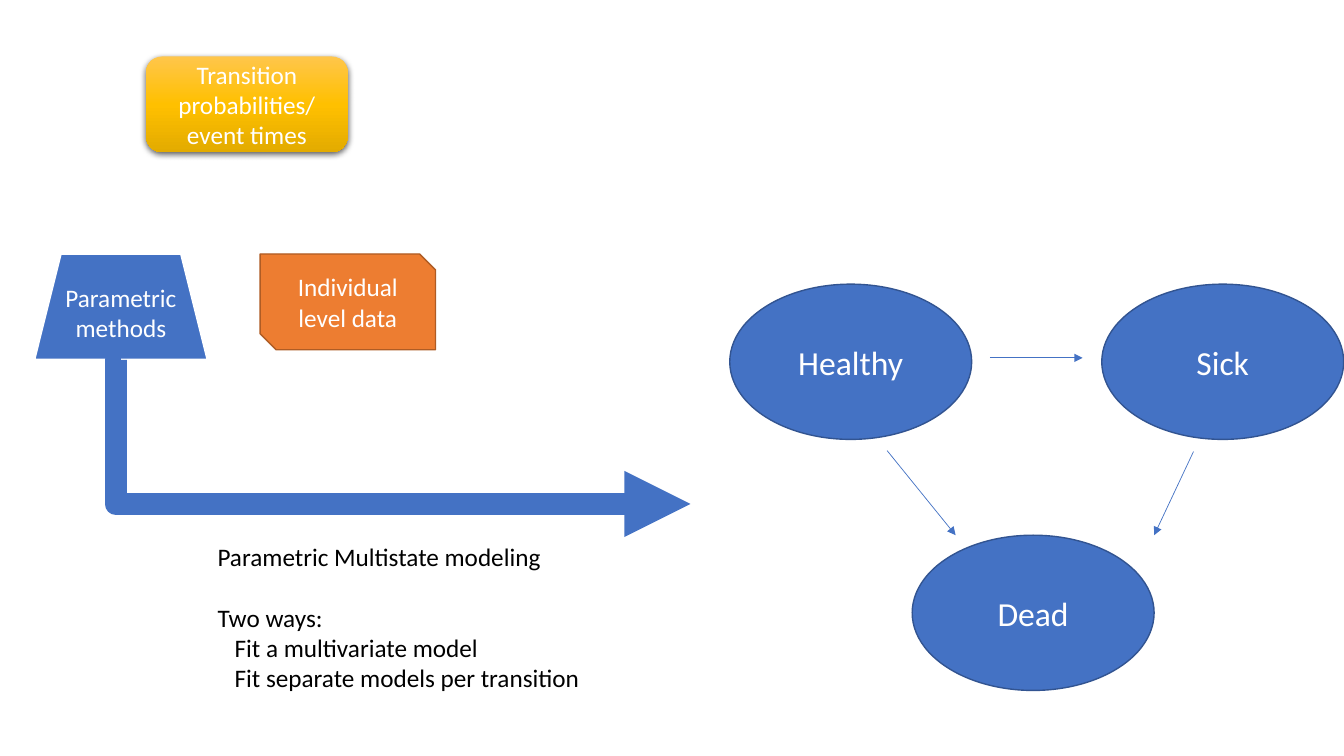
from copy import deepcopy

from lxml import etree
from pptx import Presentation
from pptx.dml.color import RGBColor
from pptx.enum.shapes import MSO_CONNECTOR as CONN, MSO_SHAPE as SHAPE
from pptx.enum.text import MSO_ANCHOR, PP_ALIGN
from pptx.oxml import parse_xml
from pptx.oxml.ns import nsdecls, qn
from pptx.util import Pt

BLUE = RGBColor(0x44, 0x72, 0xC4)
DARK_BLUE = RGBColor(0x32, 0x54, 0x91)
ORANGE = RGBColor(0xED, 0x7D, 0x31)
DARK_ORANGE = RGBColor(0xAF, 0x5C, 0x24)
GOLD = RGBColor(0xFF, 0xC0, 0x00)
LIGHT_GOLD = RGBColor(0xFF, 0xC6, 0x4B)
DEEP_GOLD = RGBColor(0xE3, 0xAB, 0x00)
WHITE = RGBColor(0xFF, 0xFF, 0xFF)
BLACK = RGBColor(0x00, 0x00, 0x00)
FONT = "Calibri"

prs = Presentation()
prs.slide_width, prs.slide_height = Pt(960), Pt(540)
s = prs.slides.add_slide(prs.slide_layouts[6])


def add_node(kind, box, text, size, fill, line, width):
    sp = s.shapes.add_shape(kind, *map(Pt, box))
    sp.shadow.inherit = False
    sp.fill.solid()
    sp.fill.fore_color.rgb = fill
    if line is None:
        sp.line.fill.background()
    else:
        sp.line.color.rgb = line
        sp.line.width = Pt(width)
    tf = sp.text_frame
    tf.word_wrap = True
    tf.vertical_anchor = MSO_ANCHOR.MIDDLE
    tf.text = text
    p = tf.paragraphs[0]
    p.alignment = PP_ALIGN.CENTER
    font = p.runs[0].font
    font.name, font.size, font.color.rgb = FONT, Pt(size), WHITE
    return sp


def add_arrow(kind, ends, width):
    cx = s.shapes.add_connector(kind, *map(Pt, ends))
    cx.line.color.rgb = BLUE
    cx.line.width = Pt(width)
    etree.SubElement(cx.line._get_or_add_ln(), qn("a:tailEnd"), type="triangle")
    etree.SubElement(cx._element.spPr, qn("a:effectLst"))
    return cx


# Inputs and method
add_node(SHAPE.SNIP_2_DIAG_RECTANGLE, (185.8, 181.4, 125.3, 68.4),
         "Individual level data", 18, ORANGE, DARK_ORANGE, 1)
add_node(SHAPE.TRAPEZOID, (24.5, 181.4, 123.8, 75.6),
         "Parametric methods", 18, BLUE, WHITE, 1.5)
transition = add_node(SHAPE.ROUNDED_RECTANGLE, (104.4, 40.3, 144, 68.4),
                      "Transition probabilities/ event times", 18, GOLD, None, 0)

# Gold gradient, light at the top, with a soft shadow below
transition.fill.gradient()
transition.fill.gradient_angle = 270
spPr = transition._element.spPr
stop_list = spPr.find(".//" + qn("a:gsLst"))
stop_list.append(deepcopy(stop_list[0]))
for stop, position, color in zip(transition.fill.gradient_stops, (0, 0.5, 1),
                                 (LIGHT_GOLD, GOLD, DEEP_GOLD)):
    stop.position = position
    stop.color.rgb = color
spPr.find(qn("a:effectLst")).append(parse_xml(
    f'<a:outerShdw {nsdecls("a")} blurRad="{Pt(4.5)}" dist="{Pt(1.5)}" dir="5400000"'
    ' algn="ctr" rotWithShape="0"><a:srgbClr val="000000"><a:alpha val="63000"/>'
    '</a:srgbClr></a:outerShdw>'))

# Thick arrow from the method to the state model, bending just left of its start
bent = add_arrow(CONN.ELBOW, (86.4, 257, 493.2, 360), 15.75)
adjustments = bent._element.spPr.find(qn("a:prstGeom")).get_or_add_avLst()
etree.SubElement(adjustments, qn("a:gd"), name="adj1", fmla="val -900")

# State model
for state, x, y in (("Healthy", 521.3, 203), ("Sick", 787, 203), ("Dead", 651.6, 382.3)):
    add_node(SHAPE.OVAL, (x, y, 172.8, 110.9), state, 24, BLUE, DARK_BLUE, 1)
for ends in ((633.6, 321.8, 682.6, 382.3),
             (707, 255.6, 773.3, 255.6),
             (852.5, 322.6, 824.4, 382.3)):
    add_arrow(CONN.STRAIGHT, ends, 0.5)

# Explanation: text, space before, left indent
notes = (("Parametric Multistate modeling", 0, 0),
         ("Two ways:", 22, 0),
         ("Fit a multivariate model", 0, 12.2),
         ("Fit separate models per transition", 0, 12.2))
tf = s.shapes.add_textbox(Pt(148.3), Pt(383), Pt(310.3), Pt(116.6)).text_frame
tf.word_wrap = True
tf.text = "\n".join(text for text, _, _ in notes)
for p, (_, before, indent) in zip(tf.paragraphs, notes):
    p.space_before = Pt(before)
    p._p.get_or_add_pPr().set("marL", str(Pt(indent)))
    font = p.runs[0].font
    font.name, font.size, font.color.rgb = FONT, Pt(18), BLACK

prs.save("out.pptx")
